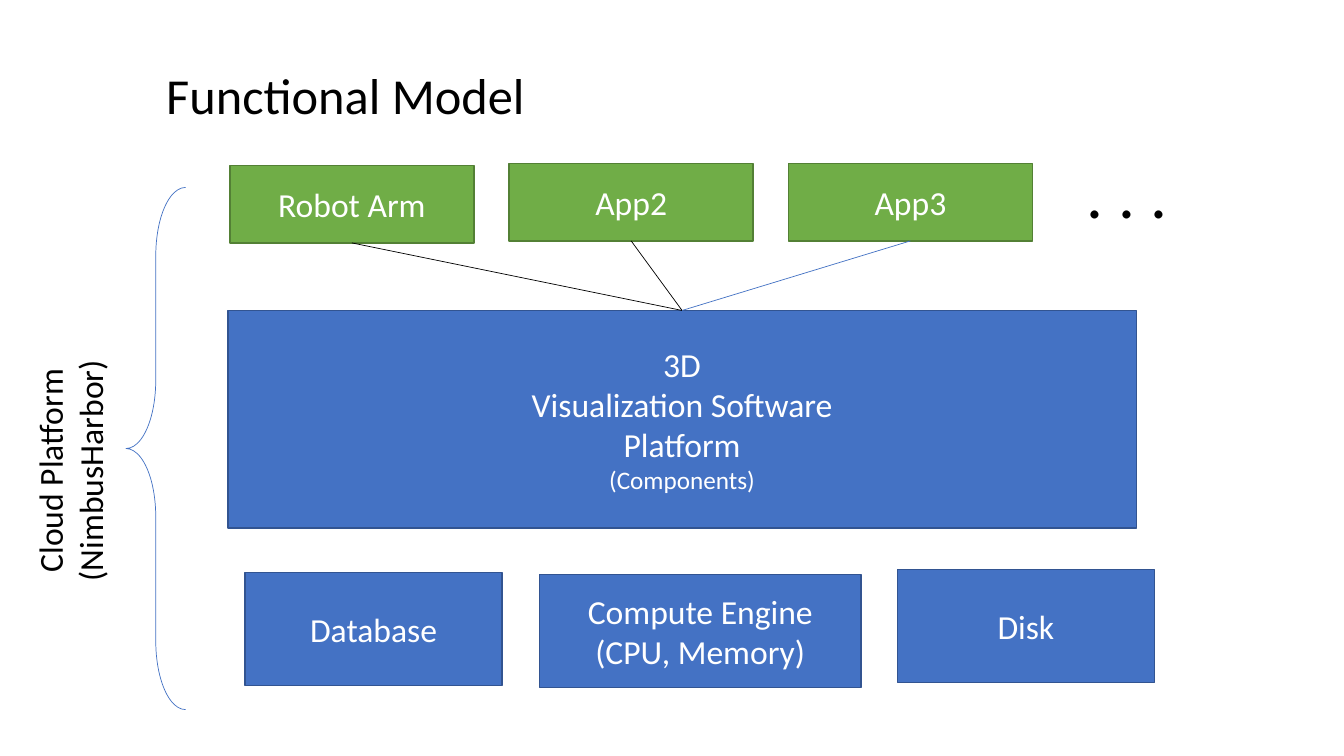
import pptx
import pptx.util
import pptx.dml.color
import pptx.enum.shapes
import pptx.enum.text
from lxml import etree

PX = 9144  # EMU per px, 100 px to the inch
FONT = "Calibri"
BLACK, WHITE = "000000", "FFFFFF"
GREEN = {"fill": "70AD47", "edge": "538035"}
BLUE = {"fill": "4472C4", "edge": "325491"}
KIND = pptx.enum.shapes.MSO_SHAPE
ALIGN = pptx.enum.text.PP_ALIGN
ANCHOR = pptx.enum.text.MSO_ANCHOR
FIT = pptx.enum.text.MSO_AUTO_SIZE


def px(*sizes):
    return [size * PX for size in sizes]


def tint(part, color):
    part.rgb = pptx.dml.color.RGBColor.from_string(color)


def stroke(line, color, width):
    tint(line.color, color)
    line.width = pptx.util.Pt(width)


def write(frame, lines, color, align):
    """Fill a frame with (text, size) lines, one paragraph each."""
    for i, (text, size) in enumerate(lines):
        para = frame.add_paragraph() if i else frame.paragraphs[0]
        para.alignment = align
        run = para.add_run()
        run.text = text
        for name, value in {"name": FONT, "size": pptx.util.Pt(size)}.items():
            setattr(run.font, name, value)
        tint(run.font.color, color)


def block(slide, box, lines, style):
    shape = slide.shapes.add_shape(KIND.RECTANGLE, *px(*box))
    shape.shadow.inherit = False
    shape.fill.solid()
    tint(shape.fill.fore_color, style["fill"])
    stroke(shape.line, style["edge"], 1)
    shape.text_frame.vertical_anchor = ANCHOR.MIDDLE
    write(shape.text_frame, lines, WHITE, ALIGN.CENTER)
    return shape


def label(slide, box, lines, align=ALIGN.LEFT, wrap=True):
    text = slide.shapes.add_textbox(*px(*box))
    for name, value in {"word_wrap": wrap, "auto_size": FIT.SHAPE_TO_FIT_TEXT}.items():
        setattr(text.text_frame, name, value)
    write(text.text_frame, lines, BLACK, align)
    return text


def link(slide, app, base, color):
    """Join the bottom of an app to the top of the platform."""
    line = slide.shapes.add_connector(pptx.enum.shapes.MSO_CONNECTOR.STRAIGHT, 0, 0, 0, 0)
    line.begin_connect(app, 2)
    line.end_connect(base, 0)
    stroke(line.line, color, 0.5)
    etree.SubElement(line.element.spPr, pptx.oxml.ns.qn("a:effectLst"))


def apps(slide, box):
    left, top, width, high = box
    cards = []
    for i, (name, dy) in enumerate([("Robot Arm", 2), ("App2", 0), ("App3", 0)]):
        spot = (left + i * 277, top + dy, width, high)
        cards.append(block(slide, spot, [(name, 24)], GREEN))
    label(slide, (left + 840, top - 17, 118, 91), [(". . .", 48)])
    return cards


def platform(slide, box):
    names = ["3D", "Visualization Software", "Platform"]
    lines = [(name, 24) for name in names] + [("(Components)", 18)]
    return block(slide, box, lines, BLUE)


def stores(slide, box):
    left, top, high = box
    parts = [
        (0, 3, 255, ["Database"]),
        (292, 5, 319, ["Compute Engine", "(CPU, Memory)"]),
        (647, 0, 255, ["Disk"]),
    ]
    for dx, dy, width, names in parts:
        spot = (left + dx, top + dy, width, high)
        block(slide, spot, [(name, 24) for name in names], BLUE)


def cloud(slide, box):
    """Brace around the whole stack, with its upright label."""
    left, top, width, high = box
    brace = slide.shapes.add_shape(KIND.LEFT_BRACE, *px(left, top, width, high))
    brace.shadow.inherit = False
    brace.fill.background()
    brace.adjustments[0] = 1.15
    brace.adjustments[1] = 0.5
    stroke(brace.line, BLUE["fill"], 0.5)
    lines = [("Cloud Platform", 24), ("(NimbusHarbor)", 24)]
    side = label(slide, (left - 101, top + 170, 101, 222), lines, ALIGN.CENTER, False)
    side.element.txBody.bodyPr.set("vert", "vert270")


def main():
    deck = pptx.Presentation()
    deck.slide_width, deck.slide_height = px(1333, 750)
    slide = deck.slides.add_slide(deck.slide_layouts[6])
    label(slide, (155, 59, 385, 71), [("Functional Model", 36)])
    cards = apps(slide, (228, 162, 242, 77))
    base = platform(slide, (226, 308, 901, 216))
    for card, color in zip(cards, [BLACK, BLACK, BLUE["fill"]]):
        link(slide, card, base, color)
    stores(slide, (243, 565, 112))
    cloud(slide, (125, 186, 59, 518))
    deck.save("out.pptx")


if __name__ == "__main__":
    main()
